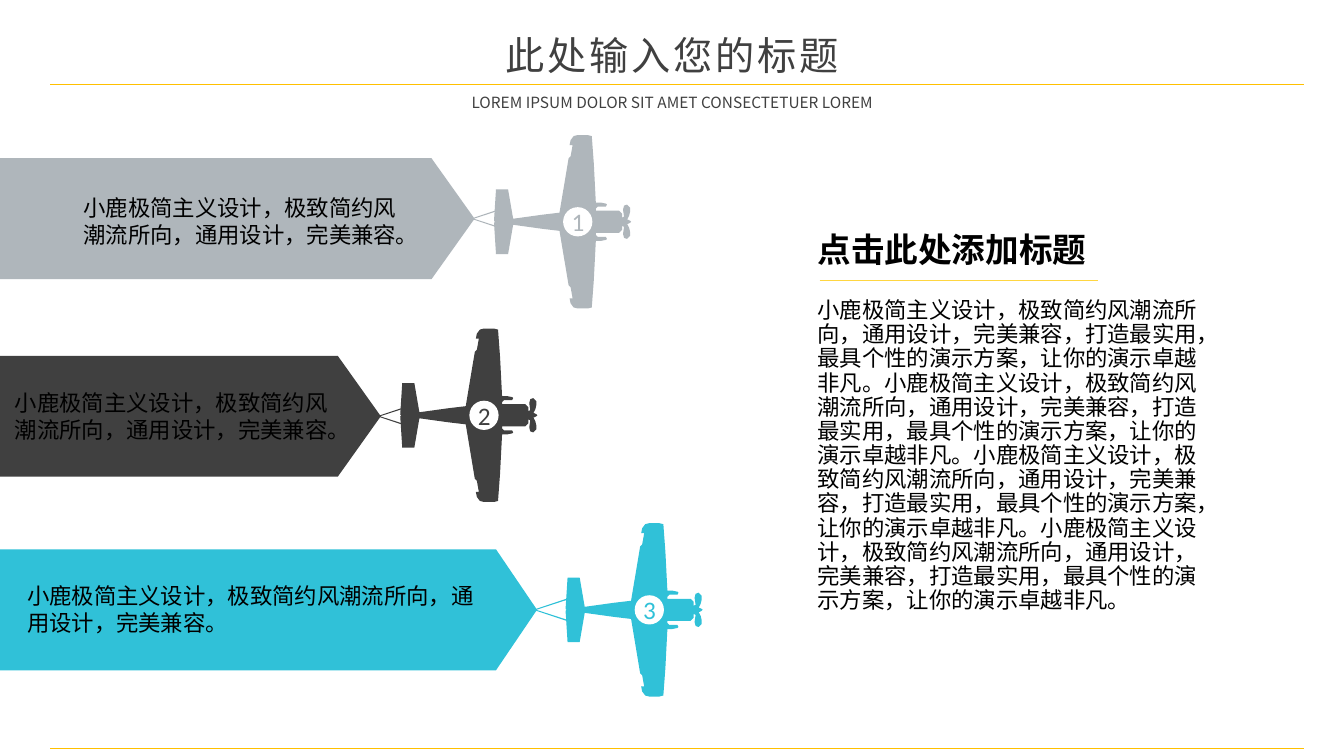
from dataclasses import dataclass

import lxml.etree
import pptx
import pptx.dml.color
import pptx.enum.shapes
import pptx.enum.text
import pptx.oxml.ns
import pptx.shapes.autoshape
import pptx.shapes.shapetree
import pptx.slide
import pptx.text.text
import pptx.util
from pptx.dml.color import RGBColor
from pptx.util import Inches

BLACK = RGBColor(0x00, 0x00, 0x00)
WHITE = RGBColor(0xFF, 0xFF, 0xFF)
DARK = RGBColor(0x40, 0x40, 0x40)
SILVER = RGBColor(0xAF, 0xB6, 0xBB)
CYAN = RGBColor(0x30, 0xC1, 0xD8)
GOLD = RGBColor(0xFF, 0xC0, 0x00)
YELLOW = RGBColor(0xFF, 0xD6, 0x41)

CJK_FONT = "Noto Sans CJK SC"
NUMBER_FONT = "Calibri"
SLOGAN = "小鹿极简主义设计，极致简约风潮流所向，通用设计，完美兼容"
PITCH = SLOGAN + "，打造最实用，最具个性的演示方案，让你的演示卓越非凡。"

BANNER_HEIGHT = 1.2
ROPE_LENGTH = 0.34
BADGE_SIZE = 0.29
BADGE_CENTER = 0.83

Points = list[tuple[float, float]]
HALF_PLANE: Points = [
    (1.36, 0), (1.35, 0.01), (1.33, 0.02), (1.32, 0.02), (1.34, 0.06), (1.35, 0.1),
    (1.35, 0.14), (1.32, 0.17), (1.29, 0.16), (1.28, 0.12), (1.29, 0.05), (1.27, 0.04),
    (1.27, 0.08), (1.24, 0.11), (1.01, 0.11), (1.01, 0.13), (1.03, 0.15), (1.07, 0.15),
    (1.11, 0.15), (1.12, 0.17), (1.11, 0.18), (1.06, 0.19), (1.01, 0.19), (0.99, 0.58),
    (0.97, 0.85), (0.93, 0.86), (0.83, 0.86), (0.79, 0.85), (0.76, 0.81), (0.75, 0.76),
    (0.78, 0.76), (0.76, 0.65), (0.74, 0.63), (0.65, 0.09), (0.48, 0.07), (0.19, 0.03),
    (0.14, 0.32), (0.02, 0.32), (0, 0.01), (0.01, 0),
]


@dataclass(frozen=True)
class Banner:
    number: str
    color: RGBColor
    plane_left: float
    plane_axis: float
    top: float
    shoulder: float
    tip: float
    text_left: float
    text_top: float
    text_width: float


BANNERS = [
    Banner("1", SILVER, 4.9, 2.2, 1.57, 4.28, 4.7, 0.73, 1.88, 3.34),
    Banner("2", DARK, 3.97, 4.12, 3.53, 3.35, 3.77, 0.05, 3.81, 3.34),
    Banner("3", CYAN, 5.61, 6.05, 5.45, 4.92, 5.32, 0.17, 5.73, 4.75),
]


def format_paragraph(paragraph: pptx.text.text._Paragraph, size: float, color: RGBColor,
                     name: str = CJK_FONT, bold: bool = False) -> None:
    font = paragraph.font
    font.size = pptx.util.Pt(size)
    font.bold = bold
    font.name = name
    font.color.rgb = color
    east_asian = lxml.etree.SubElement(font._element, pptx.oxml.ns.qn("a:ea"))
    east_asian.set("typeface", name)


def add_text(shapes: pptx.shapes.shapetree._BaseGroupShapes, text: str, left: float,
             top: float, width: float, height: float, size: float, color: RGBColor,
             name: str = CJK_FONT, bold: bool = False, wrap: bool = True,
             inset: bool = True) -> pptx.text.text._Paragraph:
    frame = shapes.add_textbox(Inches(left), Inches(top), Inches(width), Inches(height)).text_frame
    frame.word_wrap = wrap
    if not inset:
        frame.margin_left = frame.margin_right = frame.margin_top = frame.margin_bottom = 0
    paragraph = frame.paragraphs[0]
    paragraph.text = text
    format_paragraph(paragraph, size, color, name, bold)
    return paragraph


def paint(shape: pptx.shapes.autoshape.Shape, color: RGBColor) -> None:
    shape.shadow.inherit = False
    shape.fill.solid()
    shape.fill.fore_color.rgb = color
    shape.line.fill.background()


def add_outline(shapes: pptx.shapes.shapetree._BaseGroupShapes, points: Points,
                color: RGBColor) -> None:
    (start_x, start_y), *others = points
    builder = shapes.build_freeform(Inches(start_x), Inches(start_y))
    builder.add_line_segments([(Inches(x), Inches(y)) for x, y in others])
    paint(builder.convert_to_shape(), color)


def add_rule(slide: pptx.slide.Slide, left: float, right: float, y: float,
             color: RGBColor) -> None:
    connector = slide.shapes.add_connector(
        pptx.enum.shapes.MSO_CONNECTOR.STRAIGHT, Inches(left), Inches(y), Inches(right), Inches(y))
    connector.line.color.rgb = color
    connector.line.width = pptx.util.Pt(0.5)
    lxml.etree.SubElement(connector._element.spPr, pptx.oxml.ns.qn("a:effectLst"))


def add_banner(slide: pptx.slide.Slide, banner: Banner) -> None:
    shapes = slide.shapes.add_group_shape().shapes
    axis = banner.plane_axis
    upper = [(banner.plane_left + x, axis - y) for x, y in HALF_PLANE]
    lower = [(x, 2 * axis - y) for x, y in reversed(upper)]
    add_outline(shapes, upper + lower, banner.color)

    bottom = banner.top + BANNER_HEIGHT
    middle = banner.top + BANNER_HEIGHT / 2
    rope_end = banner.tip + ROPE_LENGTH
    add_outline(shapes, [
        (rope_end, middle - 0.11), (rope_end - 0.01, middle - 0.12), (banner.tip, middle - 0.01),
        (banner.shoulder, banner.top), (0, banner.top), (0, bottom), (banner.shoulder, bottom),
        (banner.tip, middle + 0.01), (rope_end - 0.01, middle + 0.12), (rope_end, middle + 0.11),
        (banner.tip, middle),
    ], banner.color)

    center = banner.plane_left + BADGE_CENTER
    badge_top = axis - BADGE_SIZE / 2
    badge = shapes.add_shape(
        pptx.enum.shapes.MSO_SHAPE.OVAL, Inches(center - BADGE_SIZE / 2), Inches(badge_top),
        Inches(BADGE_SIZE), Inches(BADGE_SIZE))
    paint(badge, WHITE)
    add_text(shapes, banner.number, center - 0.06, axis - 0.15, 0.13, 0.3, 18, banner.color,
             NUMBER_FONT, wrap=False, inset=False)
    add_text(shapes, SLOGAN + "。", banner.text_left, banner.text_top, banner.text_width, 0.64,
             16, BLACK)


def add_title(slide: pptx.slide.Slide) -> None:
    title = slide.shapes.title
    title.left, title.top = Inches(4.47), Inches(0.27)
    title.width, title.height = Inches(4.39), Inches(0.55)
    frame = title.text_frame
    frame.auto_size = pptx.enum.text.MSO_AUTO_SIZE.NONE
    frame.vertical_anchor = pptx.enum.text.MSO_ANCHOR.MIDDLE
    paragraph = frame.paragraphs[0]
    paragraph.text = "此处输入您的标题"
    paragraph.alignment = pptx.enum.text.PP_ALIGN.CENTER
    format_paragraph(paragraph, 28, DARK)
    paragraph.font._element.set("spc", "200")


def main() -> None:
    presentation = pptx.Presentation()
    presentation.slide_width, presentation.slide_height = Inches(13.33), Inches(7.5)
    slide = presentation.slides.add_slide(presentation.slide_layouts.get_by_name("Title Only"))

    add_title(slide)
    subtitle = add_text(slide.shapes, "LOREM IPSUM DOLOR SIT AMET CONSECTETUER LOREM",
                        4.4, 0.87, 4.54, 0.29, 11, DARK)
    subtitle.alignment = pptx.enum.text.PP_ALIGN.CENTER
    for rule_y in (0.84, 7.42):
        add_rule(slide, 0.5, 12.93, rule_y, GOLD)

    for banner in BANNERS:
        add_banner(slide, banner)

    add_text(slide.shapes, "点击此处添加标题", 8.01, 2.22, 2.89, 0.51, 24, BLACK,
             bold=True, wrap=False)
    body = add_text(slide.shapes, PITCH * 4, 8.01, 2.92, 4.1, 3.25, 16, BLACK)
    body.line_spacing = 0.9
    body.space_before = pptx.util.Pt(10)
    add_rule(slide, 8.13, 10.89, 2.78, YELLOW)

    presentation.save("out.pptx")


main()
